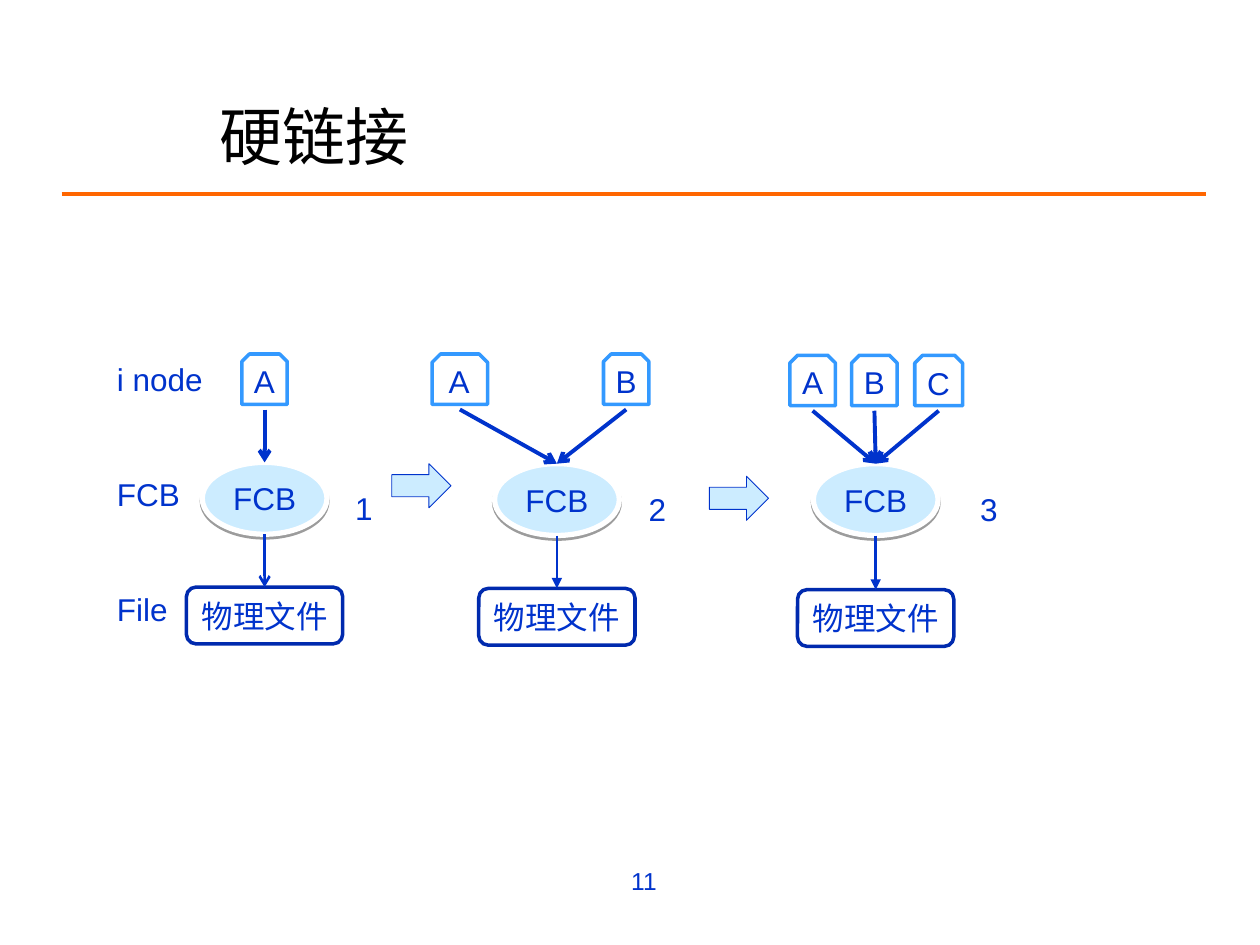
from dataclasses import dataclass

from lxml import etree
from pptx import Presentation
from pptx.dml.color import RGBColor
from pptx.enum.shapes import MSO_CONNECTOR, MSO_SHAPE
from pptx.enum.text import MSO_ANCHOR, PP_ALIGN
from pptx.oxml.ns import qn
from pptx.util import Inches, Pt

LEFT, CENTER, RIGHT = PP_ALIGN.LEFT, PP_ALIGN.CENTER, PP_ALIGN.RIGHT
TOP, MIDDLE = MSO_ANCHOR.TOP, MSO_ANCHOR.MIDDLE
STRAIGHT = MSO_CONNECTOR.STRAIGHT
ROUNDED, OVAL = MSO_SHAPE.ROUNDED_RECTANGLE, MSO_SHAPE.OVAL
SNIPPED, ARROW = MSO_SHAPE.SNIP_2_SAME_RECTANGLE, MSO_SHAPE.RIGHT_ARROW

BLACK = RGBColor(0, 0, 0)
WHITE = RGBColor(0xFF, 0xFF, 0xFF)
ORANGE = RGBColor(0xFF, 0x66, 0x00)
BLUE = RGBColor(0x00, 0x33, 0xCC)
NAVY = RGBColor(0x00, 0x2A, 0xAE)
SKY = RGBColor(0x33, 0x99, 0xFF)
PALE = RGBColor(0xCC, 0xEC, 0xFF)

FONT = "Arial"
FILE_WIDTH, FILE_HEIGHT = 1.24, 0.45
FCB_WIDTH, FCB_HEIGHT = 0.99, 0.57
INODE_HEIGHT = 0.4
LINK_GAP = 0.04


@dataclass
class Inode:
    name: str
    left: float
    width: float = 0.36
    align: PP_ALIGN = CENTER


@dataclass
class Stage:
    number: str
    center: float
    inode_top: float
    fcb_top: float
    file_top: float
    number_left: float
    file_head: str
    inodes: list[Inode]


STAGES = [
    Stage("1", 2.1, 2.81, 3.67, 4.66, 2.72, "arrow", [Inode("A", 1.92)]),
    Stage("2", 4.42, 2.81, 3.68, 4.67, 5.05, "triangle",
          [Inode("A", 3.43, 0.44, LEFT), Inode("B", 4.79)]),
    Stage("3", 6.95, 2.82, 3.68, 4.68, 7.68, "triangle",
          [Inode("A", 6.27), Inode("B", 6.76), Inode("C", 7.26, 0.38)]),
]
STEP_ARROWS = [(3.11, 3.68), (5.63, 3.78)]


def add_span(para, text: str, size: float, color: RGBColor = BLUE) -> None:
    span = para.add_run()
    span.text = text
    span.font.name = FONT
    span.font.size = Pt(size)
    span.font.color.rgb = color


def add_label(page, left: float, top: float, width: float, height: float,
              lines: list[str], size: float = 18, align: PP_ALIGN = LEFT,
              gap: float = 0) -> None:
    box = page.shapes.add_textbox(Inches(left), Inches(top), Inches(width), Inches(height))
    frame = box.text_frame
    frame.word_wrap = True
    for index, line in enumerate(lines):
        para = frame.add_paragraph() if index else frame.paragraphs[0]
        para.alignment = align
        if index:
            para.space_before = Pt(gap)
        add_span(para, line, size)


def add_node(page, preset: MSO_SHAPE, left: float, top: float, width: float,
             height: float, fill: RGBColor, line: RGBColor, weight: float,
             text: str = "", align: PP_ALIGN = CENTER):
    node = page.shapes.add_shape(
        preset, Inches(left), Inches(top), Inches(width), Inches(height))
    node.shadow.inherit = False
    node.fill.solid()
    node.fill.fore_color.rgb = fill
    node.line.color.rgb = line
    node.line.width = Pt(weight)
    if text:
        frame = node.text_frame
        frame.word_wrap = align == LEFT
        frame.vertical_anchor = MIDDLE
        para = frame.paragraphs[0]
        para.alignment = align
        add_span(para, text, 18)
    return node


def add_line(page, start: tuple[float, float], end: tuple[float, float],
             color: RGBColor, weight: float, head: str = ""):
    line = page.shapes.add_connector(STRAIGHT, *map(Inches, start + end))
    line.line.color.rgb = color
    line.line.width = Pt(weight)
    if head:
        etree.SubElement(line.line._get_or_add_ln(), qn("a:tailEnd"), type=head)
    etree.SubElement(line._element.spPr, qn("a:effectLst"))
    return line


def add_drop_shadow(node) -> None:
    effects = node._element.spPr.find(qn("a:effectLst"))
    shadow = etree.SubElement(effects, qn("a:outerShdw"), blurRad="0",
                              dist=str(Pt(1.6)), dir="5400000", rotWithShape="0")
    color = etree.SubElement(shadow, qn("a:srgbClr"), val="000000")
    etree.SubElement(color, qn("a:alpha"), val="38000")


def add_stage(page, stage: Stage) -> None:
    center = stage.center
    file_box = add_node(page, ROUNDED, center - FILE_WIDTH / 2, stage.file_top,
                        FILE_WIDTH, FILE_HEIGHT, WHITE, NAVY, 2, "物理文件")
    fcb = add_node(page, OVAL, center - FCB_WIDTH / 2, stage.fcb_top,
                   FCB_WIDTH, FCB_HEIGHT, PALE, WHITE, 3, "FCB")
    add_drop_shadow(fcb)
    file_link = add_line(page, (center, stage.fcb_top + FCB_HEIGHT),
                         (center, stage.file_top), BLUE, 1.5, stage.file_head)
    file_link.end_connect(file_box, 0)
    for inode in stage.inodes:
        add_node(page, SNIPPED, inode.left, stage.inode_top, inode.width,
                 INODE_HEIGHT, WHITE, SKY, 2, inode.name, inode.align)
        start = (inode.left + inode.width / 2,
                 stage.inode_top + INODE_HEIGHT + LINK_GAP)
        link = add_line(page, start, (center, stage.fcb_top), BLUE, 2.25, "arrow")
        link.end_connect(fcb, 0)
    add_label(page, stage.number_left, stage.fcb_top + 0.16, 0.34, 0.4, [stage.number])


def add_title(page, text: str) -> None:
    title = page.shapes.title
    title.left, title.top = Inches(1.64), Inches(0.75)
    title.width, title.height = Inches(7.26), Inches(0.64)
    title.text_frame.vertical_anchor = MIDDLE
    para = title.text_frame.paragraphs[0]
    para.alignment = LEFT
    add_span(para, text, 36, BLACK)


def main() -> None:
    deck = Presentation()
    deck.slide_width, deck.slide_height = Inches(10), Inches(7.5)
    page = deck.slides.add_slide(deck.slide_layouts[5])
    add_line(page, (0.49, 1.54), (9.57, 1.54), ORANGE, 2.25)
    add_title(page, "硬链接")
    add_label(page, 2.8, 6.82, 2.51, 0.52, ["11"], 14, RIGHT)
    add_label(page, 0.83, 2.81, 1.02, 2.5, ["i node", "FCB", "File"], gap=44)
    for stage in STAGES:
        add_stage(page, stage)
    for left, top in STEP_ARROWS:
        add_node(page, ARROW, left, top, 0.47, 0.35, PALE, BLUE, 0.5)
    deck.save("out.pptx")


if __name__ == "__main__":
    main()
